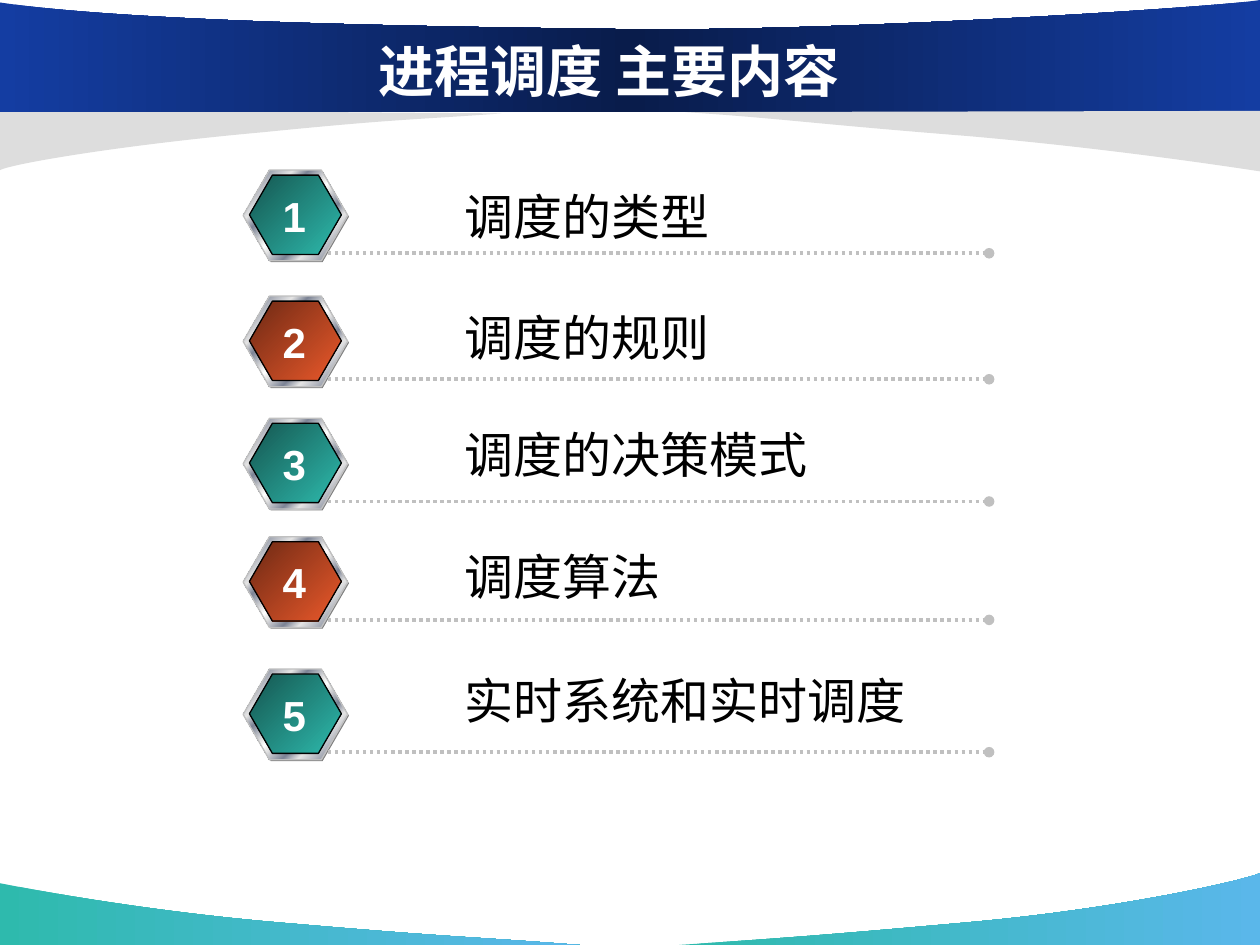
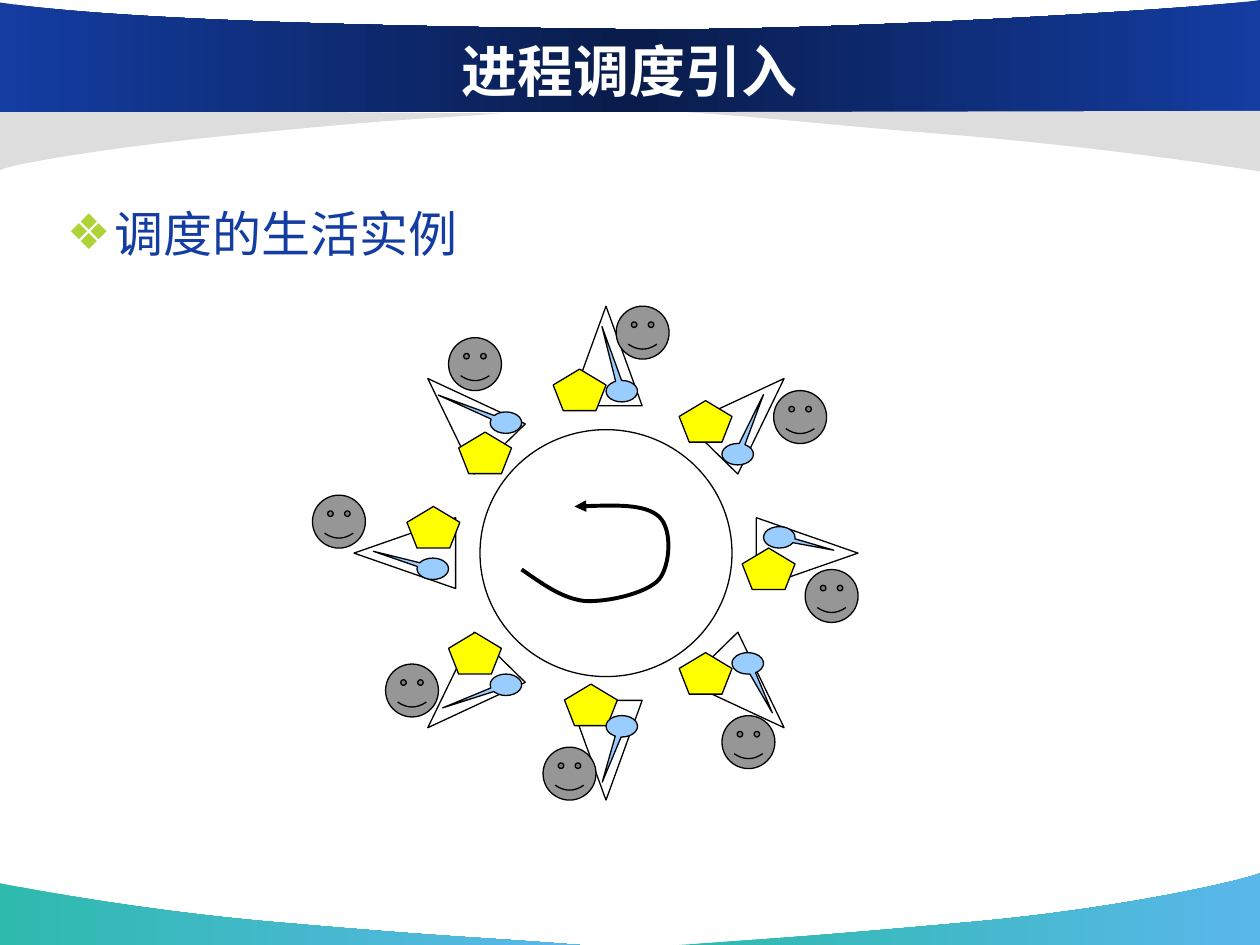
from dataclasses import dataclass

from lxml import etree
from pptx import Presentation
from pptx.dml.color import RGBColor
from pptx.enum.dml import MSO_LINE
from pptx.enum.shapes import MSO_CONNECTOR, MSO_SHAPE
from pptx.enum.text import MSO_ANCHOR, MSO_AUTO_SIZE, PP_ALIGN
from pptx.oxml.ns import qn
from pptx.util import Emu, Pt

PX = 9144  # one px is a hundredth of an inch
HEXAGON = MSO_SHAPE.HEXAGON
SUN = MSO_SHAPE.SUN
FACE = MSO_SHAPE.SMILEY_FACE
PENTAGON = MSO_SHAPE.REGULAR_PENTAGON
CALLOUT = MSO_SHAPE.OVAL_CALLOUT
STRAIGHT = MSO_CONNECTOR.STRAIGHT
DOTS = MSO_LINE.ROUND_DOT
CENTER = PP_ALIGN.CENTER
MIDDLE = MSO_ANCHOR.MIDDLE
FIT = MSO_AUTO_SIZE.SHAPE_TO_FIT_TEXT


@dataclass(frozen=True)
class Theme:
    sans: str = "Arial"
    serif: str = "Times New Roman"
    title: int = 32
    body: int = 28
    number: int = 24
    thin: float = 0.75
    rule: float = 2
    arrow: float = 2.25
    white: str = "FFFFFF"
    black: str = "000000"
    blue: str = "143DA2"
    lime: str = "AED337"
    pale: str = "DDDDDD"
    silver: str = "C0C0C0"
    shade: str = "808080"
    gray: str = "969696"
    yellow: str = "FFFF00"
    sky: str = "99CCFF"
    band: tuple = ((0, "143DA2"), (50, "091C4B"), (100, "143DA2"))
    foot: tuple = ((0, "2EBAAD"), (100, "5AB7EA"))
    teal: tuple = ((0, "155650"), (100, "2EBAAD"))
    rust: tuple = ((0, "6D2914"), (100, "EB592B"))
    metal: tuple = (
        (0, "E6E6E6"), (8, "7D8496"), (26, "E6E6E6"), (34, "7D8496"),
        (46, "E6E6E6"), (50, "FFFFFF"), (54, "E6E6E6"), (66, "7D8496"),
        (74, "E6E6E6"), (92, "7D8496"), (100, "E6E6E6"))


# Each outline is a start point, then lines (x, y) and curves (two controls, end).
FOOT_LEFT = [(460, 750), (384, 744, 358, 744, 232, 733),
             (106, 723, 1, 701, 0, 701), (0, 750)]
FOOT_RIGHT = [(539, 750), (614, 745, 646, 743, 769, 732),
              (892, 721, 990, 698, 1000, 693), (1000, 750)]
WING_LEFT = [(398, 90), (331, 95, 318, 94, 208, 105),
             (97, 115, 9, 130, 0, 135), (0, 87)]
BANNER = [(0, 89), (1000, 89), (1000, 0), (964, 6, 653, 26, 487, 23),
          (321, 21, 101, 17, 0, 2)]
WING_RIGHT = [(544, 89), (620, 94, 642, 98, 768, 108),
              (894, 119, 999, 136, 1000, 136), (1000, 88)]
TURN = [(414, 452), (430, 463, 446, 475, 464, 477),
        (482, 478, 513, 471, 523, 460), (532, 449, 534, 420, 523, 410),
        (512, 400, 484, 401, 456, 402)]

# Badge top, label top, label
TOPICS = [
    (135, 143, "调度的类型"),
    (235, 239, "调度的规则"),
    (332, 332, "调度的决策模式"),
    (426, 429, "调度算法"),
    (531, 527, "实时系统和实时调度"),
]

# Corners of face, bowl and spoon, then the tip of the spoon
SEATS = [
    ((306, 527), (356, 502), (389, 535), (-2.01, 1.08)),
    ((248, 393), (323, 402), (331, 443), (-1.89, -0.82)),
    ((431, 593), (448, 543), (481, 568), (-0.62, 2.6)),
    ((573, 568), (589, 435), (581, 518), (0.78, 2.31)),
    ((639, 452), (539, 518), (606, 418), (1.73, 0.6)),
    ((614, 310), (539, 318), (573, 352), (0.82, -2.79)),
    ((489, 243), (439, 293), (481, 302), (-0.63, -3.02)),
    ((356, 268), (364, 343), (389, 327), (-2.15, -1.29)),
]


def emu(*vals):
    return [Emu(v * PX) for v in vals]


def rgb(code):
    return RGBColor.from_string(code)


def bend(item, steps):
    """Join the three lines that stand for each curve into one curve."""
    lines = iter(list(item.element.iter(qn("a:lnTo"))))
    for step in steps:
        head = next(lines)
        if len(step) == 2:
            continue
        head.tag = qn("a:cubicBezTo")
        for _ in range(2):
            line = next(lines)
            head.append(line[0])
            line.getparent().remove(line)


class Deck:
    def __init__(self, theme):
        self.theme = theme
        self.prs = Presentation()
        self.prs.slide_width, self.prs.slide_height = emu(1000, 750)
        self.slide = None

    def page(self, layout):
        self.slide = self.prs.slides.add_slide(self.prs.slide_layouts[layout])

    def paint(self, shape, fill=None, line=None, angle=0, width=None):
        """Fill with a colour, a tuple of gradient stops or nothing."""
        shape.shadow.inherit = False
        if fill is None:
            shape.fill.background()
        elif isinstance(fill, str):
            shape.fill.solid()
            shape.fill.fore_color.rgb = rgb(fill)
        else:
            shape.fill.gradient()
            shape.fill.gradient_angle = -angle % 360
            stops = shape.element.spPr.find(qn("a:gradFill")).find(qn("a:gsLst"))
            for old in list(stops):
                stops.remove(old)
            for pos, code in fill:
                stop = etree.SubElement(stops, qn("a:gs"), pos=str(pos * 1000))
                etree.SubElement(stop, qn("a:srgbClr"), val=code)
        if line:
            shape.line.color.rgb = rgb(line)
            shape.line.width = Pt(width or self.theme.thin)
        else:
            shape.line.fill.background()
        return shape

    def shape(self, kind, box, fill=None, line=None, angle=0, adj=()):
        item = self.slide.shapes.add_shape(kind, *emu(*box))
        for i, val in enumerate(adj):
            item.adjustments[i] = val
        return self.paint(item, fill, line, angle)

    def free(self, outline, fill=None, line=None, width=None, close=True):
        first, *steps = outline
        pts = [emu(*s[i:i + 2]) for s in steps for i in range(0, len(s), 2)]
        pen = self.slide.shapes.build_freeform(*emu(*first), scale=1.0)
        pen.add_line_segments(pts, close=close)
        item = pen.convert_to_shape()
        bend(item, steps)
        return self.paint(item, fill, line, width=width)

    def end(self, item, kind):
        """Put a head on the far end of a line."""
        line = item.element.spPr.find(qn("a:ln"))
        etree.SubElement(line, qn("a:tailEnd"), type=kind)

    def rule(self, left, right, top):
        item = self.slide.shapes.add_connector(
            STRAIGHT, *emu(left, top, right, top))
        item.line.color.rgb = rgb(self.theme.silver)
        item.line.width = Pt(self.theme.rule)
        item.line.dash_style = DOTS
        self.end(item, "oval")
        etree.SubElement(item.element.spPr, qn("a:effectLst"))

    def style(self, para, size, color, bold=False, font=None):
        for run in para.runs:
            run.font.name = font or self.theme.sans
            run.font.size = Pt(size)
            run.font.bold = bold
            run.font.color.rgb = rgb(color)

    def text(self, box, words, size, color, bold=False, wrap=True, align=None):
        frame = self.slide.shapes.add_textbox(*emu(*box)).text_frame
        frame.word_wrap = wrap
        frame.auto_size = FIT
        frame.text = words
        frame.paragraphs[0].alignment = align
        self.style(frame.paragraphs[0], size, color, bold)

    def place(self, holder, box, words):
        holder.left, holder.top, holder.width, holder.height = emu(*box)
        holder.text_frame.text = words
        return holder.text_frame.paragraphs[0]

    def title(self, box, words, font):
        holder = self.slide.shapes.title
        para = self.place(holder, box, words)
        holder.text_frame.vertical_anchor = MIDDLE
        para.alignment = CENTER
        self.style(para, self.theme.title, self.theme.white, True, font)

    def body(self, box, words):
        para = self.place(self.slide.placeholders[1], box, words)
        props = para._p.get_or_add_pPr()
        props.set("marL", str(38 * PX))
        props.set("indent", str(-38 * PX))
        tint = etree.SubElement(props, qn("a:buClr"))
        etree.SubElement(tint, qn("a:srgbClr"), val=self.theme.lime)
        etree.SubElement(props, qn("a:buChar"), char="❖")
        para.line_spacing = 1.2
        self.style(para, self.theme.body, self.theme.blue)

    def bands(self):
        """Draw the bands and move them to the back of the master."""
        look = self.theme
        tree = self.prs.slide_master.shapes.element
        plan = [(FOOT_LEFT, look.foot), (FOOT_RIGHT, look.foot),
                (WING_LEFT, look.pale), (BANNER, look.band),
                (WING_RIGHT, look.pale)]
        for i, (outline, fill) in enumerate(plan):
            node = self.free(outline, fill).element
            node.find(qn("p:nvSpPr")).find(qn("p:cNvPr")).set("id", str(50 + i))
            tree.insert(2 + i, node)

    def badge(self, top, number, fill):
        look = self.theme
        adj = (0.29,)
        self.shape(HEXAGON, (194, top + 1, 83, 72), look.shade, adj=adj)
        self.shape(HEXAGON, (193, top, 83, 72), look.metal, look.silver, 45, adj)
        self.shape(HEXAGON, (198, top + 4, 73, 63), fill, look.black, 45, adj)
        self.rule(260, 785, top + 66)
        self.text((214, top + 11, 39, 50), str(number), look.number, look.white,
                  bold=True, wrap=False, align=CENTER)

    def seat(self, face, bowl, spoon, tip):
        look = self.theme
        self.shape(FACE, (*face, 42, 42), look.gray, look.black)
        self.shape(PENTAGON, (*bowl, 42, 33), look.yellow, look.black)
        self.shape(CALLOUT, (*spoon, 25, 17), look.sky, look.black, adj=tip)


def topics(deck):
    look = deck.theme
    deck.title((92, 25, 783, 62), "进程调度 主要内容", look.sans)
    for i, (top, label, words) in enumerate(TOPICS):
        deck.badge(top, i + 1, look.rust if i % 2 else look.teal)
        deck.text((359, label, 463, 57), words, look.body, look.black)


def table(deck):
    look = deck.theme
    deck.title((50, 5, 900, 102), "进程调度引入", look.serif)
    deck.body((43, 147, 914, 347), "调度的生活实例")
    deck.shape(SUN, (281, 243, 400, 392), line=look.black)
    for seat in SEATS:
        deck.seat(*seat)
    turn = deck.free(TURN, line=look.black, width=look.arrow, close=False)
    deck.end(turn, "triangle")


def main():
    deck = Deck(Theme())
    deck.page(5)
    deck.bands()
    topics(deck)
    deck.page(1)
    table(deck)
    deck.prs.save("out.pptx")


if __name__ == "__main__":
    main()
